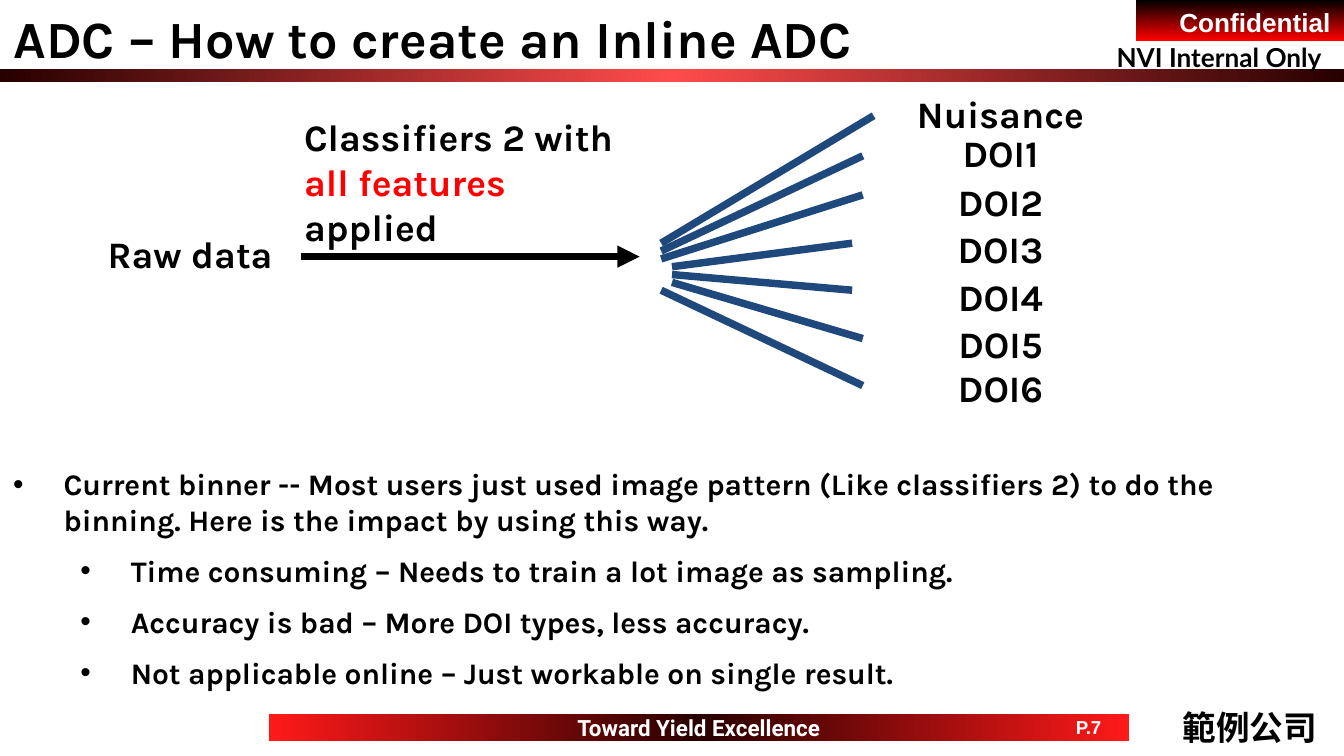
"""Build the inline ADC slide: a classifier fan-out diagram above its drawbacks."""
from typing import NamedTuple

from lxml.etree import SubElement
from pptx import Presentation
from pptx.dml.color import RGBColor
from pptx.enum.shapes import MSO_CONNECTOR, MSO_SHAPE
from pptx.enum.text import MSO_ANCHOR as Anchor, PP_ALIGN as Align
from pptx.oxml.ns import qn
from pptx.util import Pt

COLORS = {
    "black": "000000", "white": "FFFFFF", "red": "FF0000", "navy": "1F497D",
    "maroon": "280000", "coral": "FF4B4B", "scarlet": "FF1919",
}


class Area(NamedTuple):
    left: float
    top: float
    width: float
    height: float


class Ray(NamedTuple):
    start_x: float
    end_x: float
    end_y: float


class ClassLabel(NamedTuple):
    text: str
    top: float


class Bullet(NamedTuple):
    text: str
    level: int
    indent: float


RAYS = [
    Ray(354.2, 468, 62), Ray(354.2, 462.2, 83.5), Ray(354.2, 462.2, 104.4),
    Ray(360, 456.5, 130.3), Ray(360, 456.5, 155.5), Ray(360, 462.2, 181.4),
    Ray(354.2, 462.2, 206.6),
]
RAY_TOP, RAY_STEP = 130.3, 4.2

CLASS_LABELS = [
    ClassLabel("Nuisance", 45.4), ClassLabel("DOI1", 66.2), ClassLabel("DOI2", 92.2),
    ClassLabel("DOI3", 117.4), ClassLabel("DOI4", 143.3), ClassLabel("DOI5", 168.5),
    ClassLabel("DOI6", 192.2),
]

BULLETS = [
    Bullet("Current binner -- Most users just used image pattern (Like classifiers 2) "
           "to do the binning. Here is the impact by using this way.", 0, 27),
    Bullet("Time consuming – Needs to train a lot image as sampling.", 1, 63),
    Bullet("Accuracy is bad – More DOI types, less accuracy.", 1, 63),
    Bullet("Not applicable online – Just workable on single result.", 1, 63),
]


def rgb(name: str) -> RGBColor:
    """Look up a named colour."""
    return RGBColor.from_string(COLORS[name])


def add_span(para, text: str, size: float = 20, font: str = "Karla",
             color: str = "black") -> None:
    """Append bold text to a paragraph."""
    span = para.add_run()
    span.text = text
    span.font.size = Pt(size)
    span.font.name = font
    span.font.bold = True
    span.font.color.rgb = rgb(color)


def set_frame(shape, anchor=Anchor.TOP, wrap: bool = True):
    """Prepare a text frame and return it."""
    frame = shape.text_frame
    frame.word_wrap = wrap
    frame.vertical_anchor = anchor
    frame.margin_left = frame.margin_right = Pt(7.2)
    frame.margin_top = frame.margin_bottom = Pt(3.6)
    return frame


def write(shape, text: str, align=Align.LEFT, anchor=Anchor.TOP, wrap: bool = True,
          **style) -> None:
    """Write one formatted paragraph into a shape."""
    para = set_frame(shape, anchor, wrap).paragraphs[0]
    para.alignment = align
    add_span(para, text, **style)


def add_box(slide, area: Area):
    """Add an empty text box."""
    return slide.shapes.add_textbox(*map(Pt, area))


def add_panel(slide, area: Area, *colors: str, angle: float = 0):
    """Add a rectangle filled with one colour or an even gradient of several."""
    panel = slide.shapes.add_shape(MSO_SHAPE.RECTANGLE, *map(Pt, area))
    panel.shadow.inherit = False
    panel.line.fill.background()
    if len(colors) == 1:
        panel.fill.solid()
        panel.fill.fore_color.rgb = rgb(colors[0])
        return panel
    panel.fill.gradient()
    panel.fill.gradient_angle = angle
    stops = panel._element.spPr.find(qn("a:gradFill")).find(qn("a:gsLst"))
    for stop in list(stops):
        stops.remove(stop)
    for index, color in enumerate(colors):
        position = 100000 * index // (len(colors) - 1)
        stop = SubElement(stops, qn("a:gs"), pos=str(position))
        SubElement(stop, qn("a:srgbClr"), val=COLORS[color])
    return panel


def add_line(slide, start: tuple[float, float], end: tuple[float, float],
             color: str, arrow: bool = False) -> None:
    """Add a thick straight line, optionally with an arrowhead at its end."""
    line = slide.shapes.add_connector(MSO_CONNECTOR.STRAIGHT, *map(Pt, start + end))
    line.line.width = Pt(4)
    line.line.color.rgb = rgb(color)
    if arrow:
        SubElement(line.line._get_or_add_ln(), qn("a:tailEnd"), type="triangle")
    SubElement(line._element.spPr, qn("a:effectLst"))


def add_branding(slide) -> None:
    """Add the header and footer bands with their labels."""
    add_panel(slide, Area(0, 36.9, 720, 7.2), "maroon", "coral", "maroon")
    badge = add_panel(slide, Area(608.4, 0, 111.6, 21.8), "black", "red", angle=270)
    write(badge, "Confidential", Align.RIGHT, size=14, font="Arial", color="white")
    footer = add_panel(slide, Area(144, 382.4, 460.8, 14.4), "scarlet", "maroon", "scarlet")
    write(footer, "Toward Yield Excellence", Align.CENTER, Anchor.MIDDLE, False,
          size=12, font="Roboto", color="white")
    write(add_box(slide, Area(561.6, 382.4, 43.2, 14.4)), "P.7", Align.CENTER,
          Anchor.MIDDLE, False, size=10, font="Arial", color="white")
    write(add_box(slide, Area(591.1, 18.9, 129.6, 24.5)), "NVI Internal Only",
          wrap=False, size=14, font="Lato")
    write(add_box(slide, Area(626.4, 375.1, 86.4, 28.8)), "範例公司", Align.CENTER,
          Anchor.MIDDLE, False, size=18, font="Arial")


def add_diagram(slide) -> None:
    """Add the raw data, the classifier arrow and the fan of classes."""
    write(add_box(slide, Area(36.7, 120.2, 130.3, 31.5)), "Raw data", Align.CENTER)
    for index, ray in enumerate(RAYS):
        start = (ray.start_x, RAY_TOP + index * RAY_STEP)
        add_line(slide, start, (ray.end_x, ray.end_y), "navy")
    add_line(slide, (161.3, 137.5), (342.7, 137.5), "black", arrow=True)
    para = set_frame(add_box(slide, Area(155.8, 57.6, 198.4, 56))).paragraphs[0]
    add_span(para, "Classifiers 2 with ")
    add_span(para, "all features", color="red")
    add_span(para, " applied")
    for label in CLASS_LABELS:
        write(add_box(slide, Area(462.2, label.top, 147.6, 31.5)), label.text, Align.CENTER)


def add_bullets(slide) -> None:
    """Add the bulleted drawbacks."""
    frame = set_frame(add_panel(slide, Area(0, 246.2, 720, 133.2), "white"))
    for index, bullet in enumerate(BULLETS):
        para = frame.add_paragraph() if index else frame.paragraphs[0]
        para.alignment = Align.LEFT
        para.level = bullet.level
        para.space_before = Pt(8)
        properties = para._p.get_or_add_pPr()
        properties.set("marL", str(Pt(bullet.indent)))
        properties.set("indent", str(-Pt(27)))
        SubElement(properties, qn("a:buFont"), typeface="Arial")
        SubElement(properties, qn("a:buChar"), char="•")
        add_span(para, bullet.text, size=16)


def main() -> None:
    """Build and save the deck."""
    deck = Presentation()
    deck.slide_width, deck.slide_height = Pt(720), Pt(405)
    slide = deck.slides.add_slide(deck.slide_layouts[5])
    title = slide.shapes.title
    title.left, title.top, title.width, title.height = map(Pt, Area(0, 0, 575.3, 27.4))
    write(title, "ADC – How to create an Inline ADC", size=28)
    add_branding(slide)
    add_diagram(slide)
    add_bullets(slide)
    deck.save("out.pptx")


if __name__ == "__main__":
    main()
